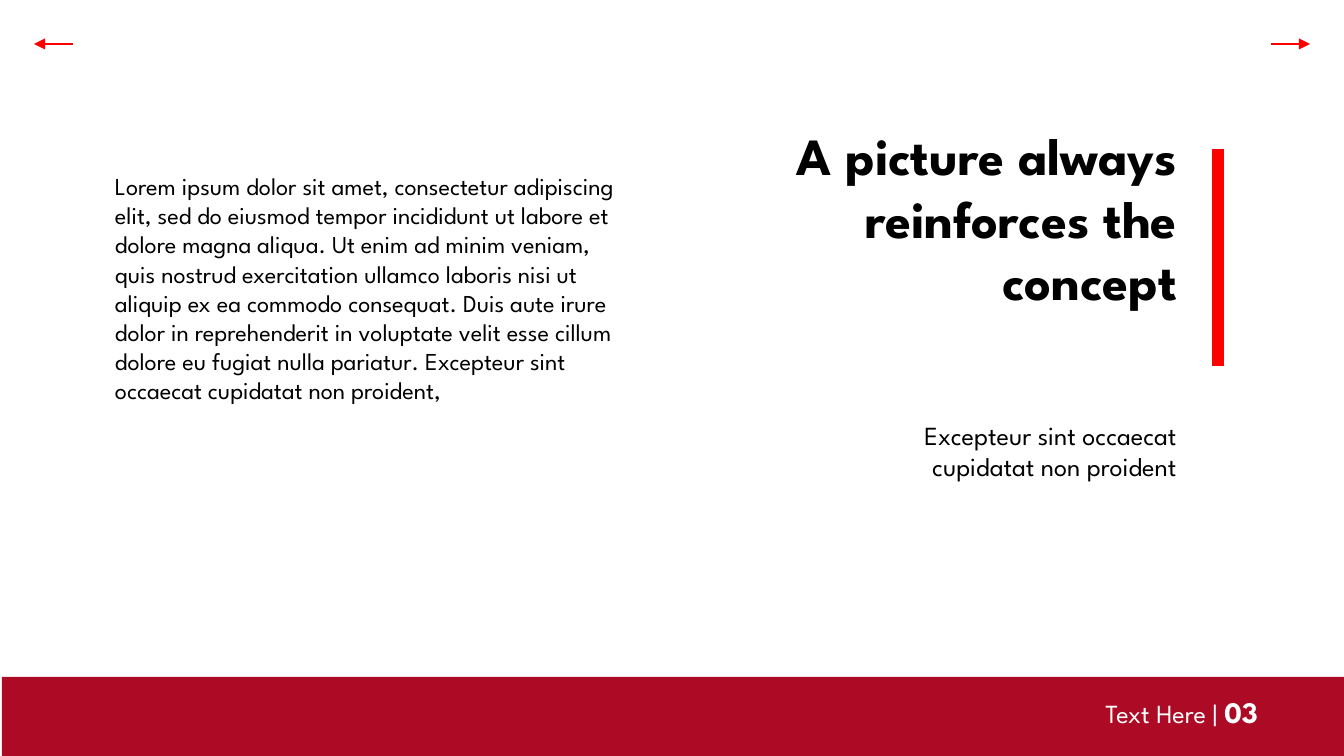
from lxml.etree import SubElement
from pptx import Presentation
from pptx.dml.color import RGBColor
from pptx.enum.shapes import MSO_CONNECTOR, MSO_SHAPE
from pptx.enum.text import MSO_ANCHOR, MSO_AUTO_SIZE, PP_ALIGN
from pptx.oxml.ns import qn
from pptx.util import Pt

PX = 914400 / 134.4  # EMU in one px
WIDTH, HEIGHT = 1344, 756
PAD = 13


class Theme:
    font = "League Spartan"
    ink, paper = RGBColor(0, 0, 0), RGBColor(255, 255, 255)
    accent, band = RGBColor(0xFD, 0, 0), RGBColor(0xAD, 0x0A, 0x25)
    title, number, caption, body = Pt(28), Pt(16), Pt(14), Pt(13)
    bar, arrow = Pt(6), Pt(0.75)


# Content: runs are (text, size, bold, colour), boxes are left, top, width, height
TITLE = {
    "box": (777, 110, 413, 276),
    "runs": [("A picture always reinforces the concept", Theme.title, True, Theme.ink)],
    "align": PP_ALIGN.RIGHT,
}
CAPTION = {
    "box": (849, 406, 341, 160),
    "runs": [("Excepteur sint occaecat cupidatat non proident",
              Theme.caption, False, Theme.ink)],
    "align": PP_ALIGN.RIGHT,
    "margins": {"margin_bottom": 0},
}
BODY = {
    "box": (102, 124, 532, 341),
    "runs": [("Lorem ipsum dolor sit amet, consectetur adipiscing elit, sed do eiusmod "
              "tempor incididunt ut labore et dolore magna aliqua. Ut enim ad minim "
              "veniam, quis nostrud exercitation ullamco laboris nisi ut aliquip ex ea "
              "commodo consequat. Duis aute irure dolor in reprehenderit in voluptate "
              "velit esse cillum dolore eu fugiat nulla pariatur. Excepteur sint "
              "occaecat cupidatat non proident,", Theme.body, False, Theme.ink)],
    "align": PP_ALIGN.LEFT,
    "anchor": MSO_ANCHOR.MIDDLE,
    "margins": {"margin_top": 0},
}
FOOTER = {
    "box": (1028, 681, 243, 69),
    "runs": [("Text Here | ", Theme.caption, False, Theme.paper),
             ("03", Theme.number, True, Theme.paper)],
    "align": PP_ALIGN.RIGHT,
}
BAND_BOX = (2, 677, WIDTH, 79)
# Lines: start, end, width, arrowhead
ARROW_Y, ARROW_EDGE, ARROW_LENGTH = 44, 34, 39
LINES = [((1218, 149), (1218, 366), Theme.bar, False)]
for edge, inward in ((WIDTH - ARROW_EDGE, -1), (ARROW_EDGE, 1)):
    LINES.append(((edge + inward * ARROW_LENGTH, ARROW_Y), (edge, ARROW_Y),
                  Theme.arrow, True))


def emu(values):
    return [round(value * PX) for value in values]


def add_panel(slide, box, color):
    panel = slide.shapes.add_shape(MSO_SHAPE.RECTANGLE, *emu(box))
    panel.shadow.inherit = False
    panel.fill.solid()
    panel.fill.fore_color.rgb = color
    panel.line.fill.background()
    return panel


def write(holder, content):
    holder.left, holder.top, holder.width, holder.height = emu(content["box"])
    frame = holder.text_frame
    pad = round(PAD * PX)
    settings = {
        "word_wrap": True,
        "auto_size": MSO_AUTO_SIZE.NONE,
        "vertical_anchor": content.get("anchor", MSO_ANCHOR.TOP),
        "margin_left": pad, "margin_right": pad,
        "margin_top": pad, "margin_bottom": pad,
        **content.get("margins", {}),
    }
    for name, value in settings.items():
        setattr(frame, name, value)
    paragraph = frame.paragraphs[0]
    paragraph.alignment = content["align"]
    for text, size, bold, color in content["runs"]:
        run = paragraph.add_run()
        run.text = text
        for name, value in {"name": Theme.font, "size": size, "bold": bold}.items():
            setattr(run.font, name, value)
        run.font.color.rgb = color


def add_line(slide, start, end, width, arrowhead):
    line = slide.shapes.add_connector(MSO_CONNECTOR.STRAIGHT, *emu(start + end))
    line.line.color.rgb = Theme.accent
    line.line.width = width
    if arrowhead:
        SubElement(line.line._get_or_add_ln(), qn("a:tailEnd"), type="triangle")
    SubElement(line._element.spPr, qn("a:effectLst"))


def main():
    deck = Presentation()
    deck.slide_width, deck.slide_height = emu((WIDTH, HEIGHT))
    slide = deck.slides.add_slide(deck.slide_layouts[5])

    # Heading and caption
    write(slide.shapes.title, TITLE)
    write(add_panel(slide, CAPTION["box"], Theme.paper), CAPTION)

    # Accent bar and navigation arrows
    for line in LINES:
        add_line(slide, *line)

    # Footer
    add_panel(slide, BAND_BOX, Theme.band)
    write(slide.shapes.add_textbox(*emu(FOOTER["box"])), FOOTER)

    # Body text
    write(add_panel(slide, BODY["box"], Theme.paper), BODY)

    deck.save("out.pptx")


if __name__ == "__main__":
    main()
